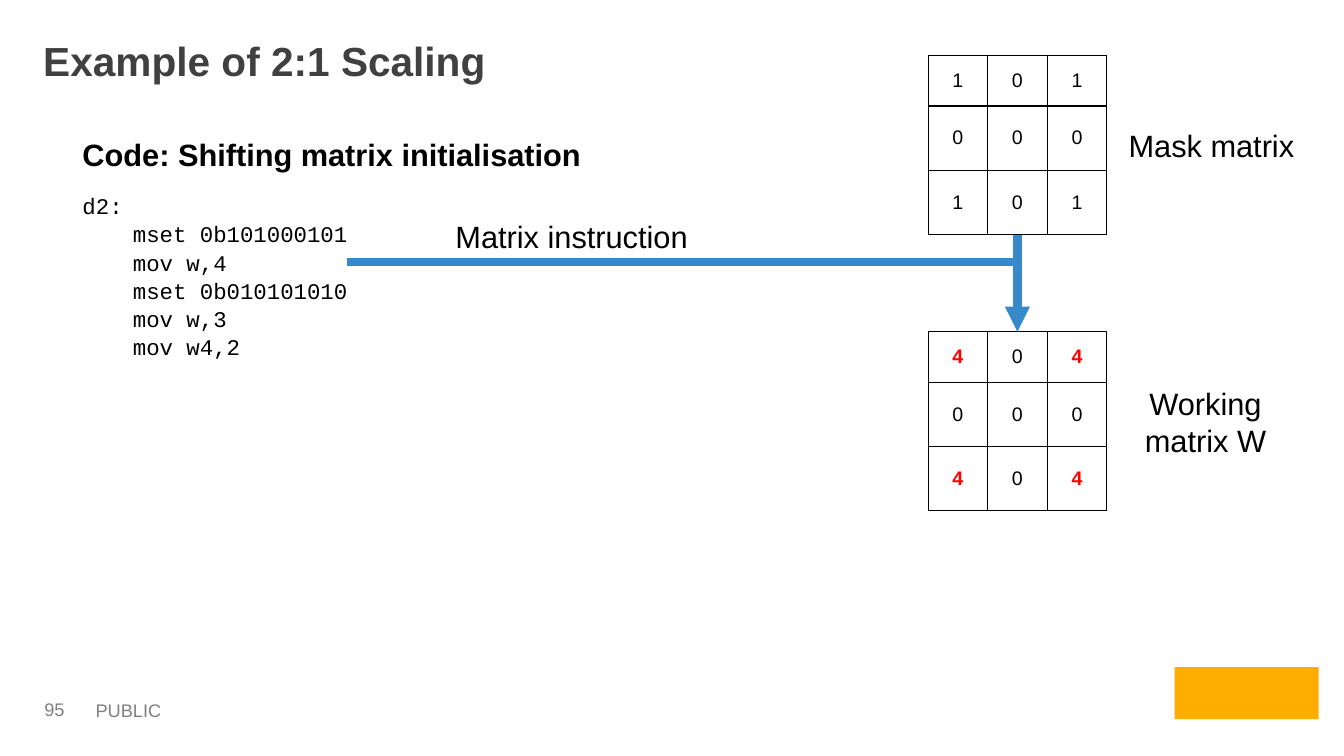
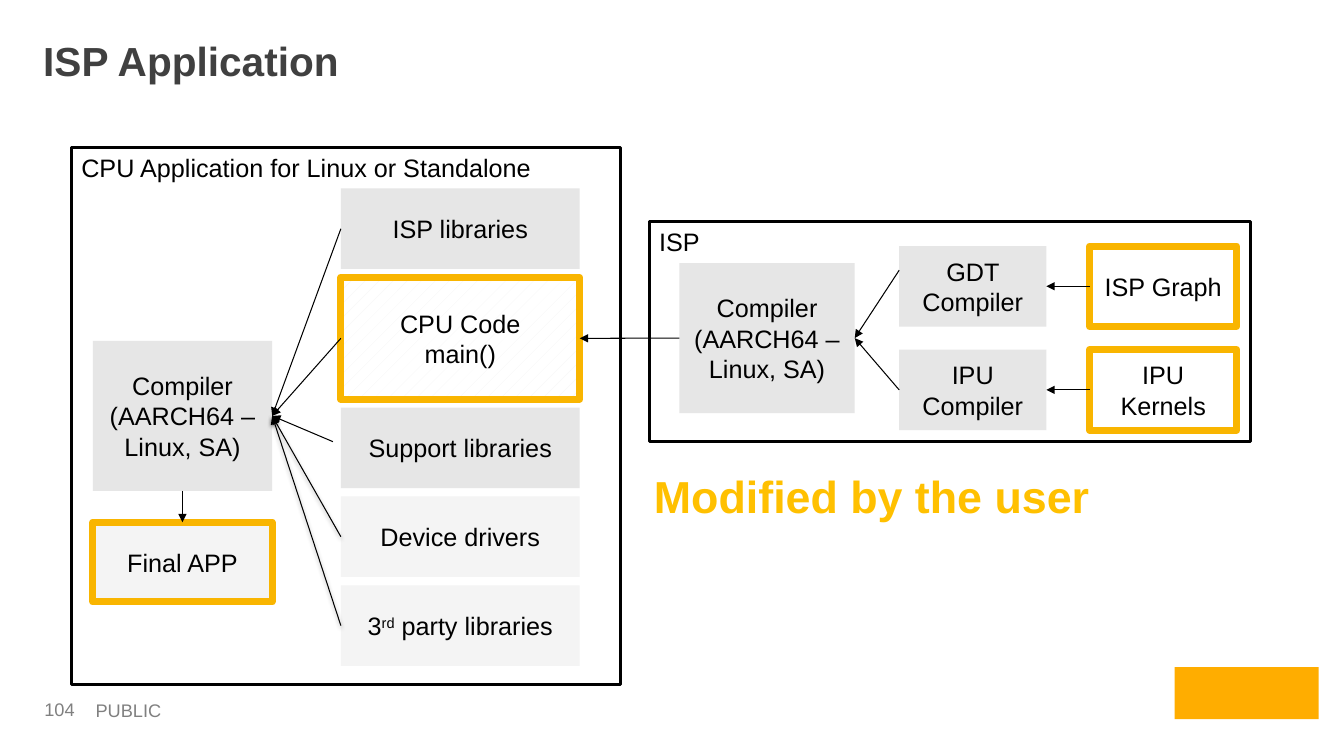
import pptx
import pptx.dml.color
import pptx.enum.dml
import pptx.enum.shapes
import pptx.enum.text
import pptx.oxml
import pptx.oxml.ns
import pptx.util
from lxml import etree

Cm, Pt = pptx.util.Cm, pptx.util.Pt
ALIGN = pptx.enum.text.PP_ALIGN
ANCHOR = pptx.enum.text.MSO_ANCHOR
TOP, LEFT, BOTTOM, RIGHT = range(4)
COLORS = {
    "title": "404040", "text": "000000", "footer": "808080", "red": "FF0000",
    "blue": "3889C9", "user": "F9B500", "user_text": "FFC000",
    "grey": "E6E6E6", "light": "F4F4F4", "white": "FFFFFF", "logo": "FFAD00",
}


def rgb(name):
    return pptx.dml.color.RGBColor.from_string(COLORS[name])


def write(tf, text, size, color="text", bold=False, align=ALIGN.LEFT,
          anchor=ANCHOR.TOP, font="Arial"):
    tf.text = text
    tf.vertical_anchor = anchor
    for p in tf.paragraphs:
        p.alignment = align
        for r in p.runs:
            r.font.name, r.font.size, r.font.bold = font, Pt(size), bold
            r.font.color.rgb = rgb(color)


def add_text(slide, left, top, width, height, text, size, wrap=True, **style):
    sp = slide.shapes.add_textbox(Cm(left), Cm(top), Cm(width), Cm(height))
    write(sp.text_frame, text, size, **style)
    sp.text_frame.word_wrap = wrap
    return sp


def add_box(slide, left, top, width, height, text="", fill=None, line=None,
            weight=5, align=ALIGN.CENTER, anchor=ANCHOR.MIDDLE):
    sp = slide.shapes.add_shape(pptx.enum.shapes.MSO_SHAPE.RECTANGLE,
                                Cm(left), Cm(top), Cm(width), Cm(height))
    sp.shadow.inherit = False
    if fill:
        sp.fill.solid()
        sp.fill.fore_color.rgb = rgb(fill)
    else:
        sp.fill.background()
    if line:
        sp.line.color.rgb = rgb(line)
        sp.line.width = Pt(weight)
    else:
        sp.line.fill.background()
    write(sp.text_frame, text, 18, align=align, anchor=anchor)
    return sp


def add_frame(slide, left, top, width, height, text):
    return add_box(slide, left, top, width, height, text, line="text", weight=2,
                   align=ALIGN.LEFT, anchor=ANCHOR.TOP)


def add_line(slide, start, end, color="text", weight=0.75, arrow=True, shadow=False):
    """Draw from start to end, each a (shape, side) pair or an (x, y) point in cm."""
    glued = [not isinstance(point[0], (int, float)) for point in (start, end)]
    ends = [(0, 0) if joined else point for joined, point in zip(glued, (start, end))]
    ln = slide.shapes.add_connector(pptx.enum.shapes.MSO_CONNECTOR.STRAIGHT,
                                    *(Cm(v) for point in ends for v in point))
    if glued[0]:
        ln.begin_connect(*start)
    if glued[1]:
        ln.end_connect(*end)
    ln.line.color.rgb = rgb(color)
    ln.line.width = Pt(weight)
    qn = pptx.oxml.ns.qn
    if arrow:
        etree.SubElement(ln.line._get_or_add_ln(), qn("a:tailEnd"), type="triangle")
    effects = etree.SubElement(ln._element.spPr, qn("a:effectLst"))
    if shadow:
        outer = etree.SubElement(effects, qn("a:outerShdw"), blurRad=str(Pt(3)),
                                 dist=str(Pt(1.6)), dir="5400000", rotWithShape="0")
        tint = etree.SubElement(outer, qn("a:srgbClr"), val=COLORS["text"])
        etree.SubElement(tint, qn("a:alpha"), val="38000")


def add_slide(prs, title, number):
    """Add a blank slide with the shared title, footer and logo block."""
    slide = prs.slides.add_slide(prs.slide_layouts[6])
    add_text(slide, 2.16, 17.5, 10.1, 0.86, "PUBLIC", 13, color="footer")
    sp = add_text(slide, 0.94, 17.5, 1.65, 0.76, str(number), 13,
                  color="footer", anchor=ANCHOR.MIDDLE)
    tf = sp.text_frame
    tf.margin_left = tf.margin_right = Cm(0.18)
    tf.margin_top = tf.margin_bottom = Cm(0.1)
    add_box(slide, 29.6, 16.81, 3.63, 1.31, fill="logo")
    add_text(slide, 0.84, 0.79, 32.38, 1.83, title, 29, color="title", bold=True)
    return slide


def set_borders(cell):
    tc_pr = cell._tc.get_or_add_tcPr()
    for i, side in enumerate(("lnL", "lnR", "lnT", "lnB")):
        tc_pr.insert(i, pptx.oxml.parse_xml(
            f'<a:{side} {pptx.oxml.ns.nsdecls("a")} w="{Pt(1)}"><a:solidFill>'
            f'<a:srgbClr val="{COLORS["text"]}"/></a:solidFill></a:{side}>'))


def add_matrix(slide, left, top, rows, label, label_gap):
    """Draw a 3 x 3 matrix with its label; values above 1 are highlighted."""
    col_width, heights = 1.5, (1.27, 1.62, 1.62)
    width, height = 3 * col_width, sum(heights)
    table = slide.shapes.add_table(3, 3, Cm(left), Cm(top), Cm(width), Cm(height)).table
    table.first_row = table.horz_banding = False
    for column in table.columns:
        column.width = Cm(col_width)
    for i, values in enumerate(rows):
        table.rows[i].height = Cm(heights[i])
        for j, value in enumerate(values):
            cell, changed = table.cell(i, j), value > 1
            cell.fill.background()
            write(cell.text_frame, str(value), 14, "red" if changed else "text",
                  bold=changed, align=ALIGN.CENTER)
            cell.vertical_anchor = ANCHOR.MIDDLE
            set_borders(cell)
    add_text(slide, left + width + label_gap, top, 4.98, height, label, 22,
             align=ALIGN.CENTER, anchor=ANCHOR.MIDDLE)
    return left + width / 2, top + height


def add_code(slide, left, top):
    add_text(slide, left, top, 24.74, 1.37, "Code: Shifting matrix initialisation",
             22, bold=True)
    lines = ("d2:", "mset 0b101000101", "mov w,4", "mset 0b010101010",
             "mov w,3", "mov w4,2")
    sp = add_text(slide, left, top + 1.42, 16.28, 4.37, "\n".join(lines), 16,
                  font="Courier New")
    for p in sp.text_frame.paragraphs[1:]:
        p.space_before = Pt(1)
        p_pr = p._p.get_or_add_pPr()
        p_pr.set("marL", str(Cm(1.27)))
        p_pr.set("indent", "0")


def scaling_slide(prs):
    slide = add_slide(prs, "Example of 2:1 Scaling", 95)
    left, working_top, instruction_y = 23.39, 8.36, 6.6
    center, mask_bottom = add_matrix(
        slide, left, 1.4, ((1, 0, 1), (0, 0, 0), (1, 0, 1)), "Mask matrix", 0.15)
    add_matrix(slide, left, working_top, ((4, 0, 4), (0, 0, 0), (4, 0, 4)),
               "Working matrix W", 0)
    add_line(slide, (center, mask_bottom), (center, working_top), "blue", 6)
    add_code(slide, 1.83, 3.3)
    add_line(slide, (8.74, instruction_y), (center, instruction_y), "blue", 6, arrow=False)
    add_text(slide, 10.62, instruction_y - 1.24, 7.57, 1.19, "Matrix instruction", 22,
             align=ALIGN.CENTER)


def add_compiler(slide, left, top, width):
    return add_box(slide, left, top, width, 3.78, "Compiler (AARCH64 – Linux, SA)", "grey")


def add_application(slide, left, top):
    """Draw the application frame and return its main code box."""
    add_frame(slide, left, top, 13.84, 13.54, "CPU Application for Linux or Standalone")
    compiler = add_compiler(slide, left + 0.54, top + 4.88, 4.52)
    app = add_box(slide, left + 0.54, top + 9.45, 4.52, 2.01, "Final APP", "light", "user")
    add_line(slide, (compiler, BOTTOM), (app, TOP))

    parts = (("ISP libraries", "grey", None, 2.03),
             ("CPU Code\nmain()", "light", "user", 3.07),
             ("Support libraries", "grey", None, 2.03),
             ("Device drivers", "light", None, 2.03),
             ("3rd party libraries", "light", None, 2.03))
    x, y, gap = left + 6.79, top + 1.04, 0.21
    boxes = []
    for text, fill, line, height in parts:
        boxes.append(add_box(slide, x, y, 6.02, height, text, fill, line))
        y += height + gap
    libraries, code, support, drivers, third_party = boxes

    code.fill.patterned()
    code.fill.pattern = pptx.enum.dml.MSO_PATTERN.PERCENT_5
    code.fill.fore_color.rgb, code.fill.back_color.rgb = rgb("light"), rgb("white")

    write(third_party.text_frame, "3", 18, align=ALIGN.CENTER, anchor=ANCHOR.MIDDLE)
    p = third_party.text_frame.paragraphs[0]
    for text, baseline in (("rd", "30000"), (" party libraries", "0")):
        r = p.add_run()
        r.text = text
        r.font.name, r.font.size = "Arial", Pt(18)
        r.font.color.rgb = rgb("text")
        r._r.get_or_add_rPr().set("baseline", baseline)

    for start in ((libraries, LEFT), (code, LEFT), (x - 0.2, top + 7.42)):
        add_line(slide, start, (compiler, RIGHT))
    for sp in (drivers, third_party):
        add_line(slide, (sp, LEFT), (compiler, RIGHT), shadow=True)
    return code


def add_isp(slide, left, top):
    """Draw the ISP frame and return its main compiler box."""
    add_frame(slide, left, top, 15.16, 5.54, "ISP")
    compiler = add_compiler(slide, left + 0.76, top + 1.04, 4.42)
    rows = []
    for i, (tool, source) in enumerate((("GDT Compiler", "ISP Graph"),
                                        ("IPU Compiler", "IPU Kernels"))):
        y = top + 0.61 + i * 2.61
        tool_box = add_box(slide, left + 6.3, y, 3.71, 2.03, tool, "grey")
        source_box = add_box(slide, left + 11.1, y, 3.71, 2.03, source, line="user")
        add_line(slide, (source_box, LEFT), (tool_box, RIGHT))
        rows.append(tool_box)
    add_line(slide, (left + 6.3, top + 1.22), (compiler, RIGHT))
    add_line(slide, (rows[1], LEFT), (compiler, RIGHT))
    return compiler


def application_slide(prs):
    slide = add_slide(prs, "ISP Application", 104)
    code = add_application(slide, 1.8, 3.71)
    compiler = add_isp(slide, 16.36, 5.59)
    add_line(slide, (compiler, LEFT), (code, RIGHT))
    add_text(slide, 16.23, 11.68, 14.91, 3.53, "Modified by the user", 32,
             wrap=False, color="user_text", bold=True)


def main():
    prs = pptx.Presentation()
    prs.slide_width, prs.slide_height = Cm(33.87), Cm(19.05)
    scaling_slide(prs)
    application_slide(prs)
    prs.save("out.pptx")


if __name__ == "__main__":
    main()
